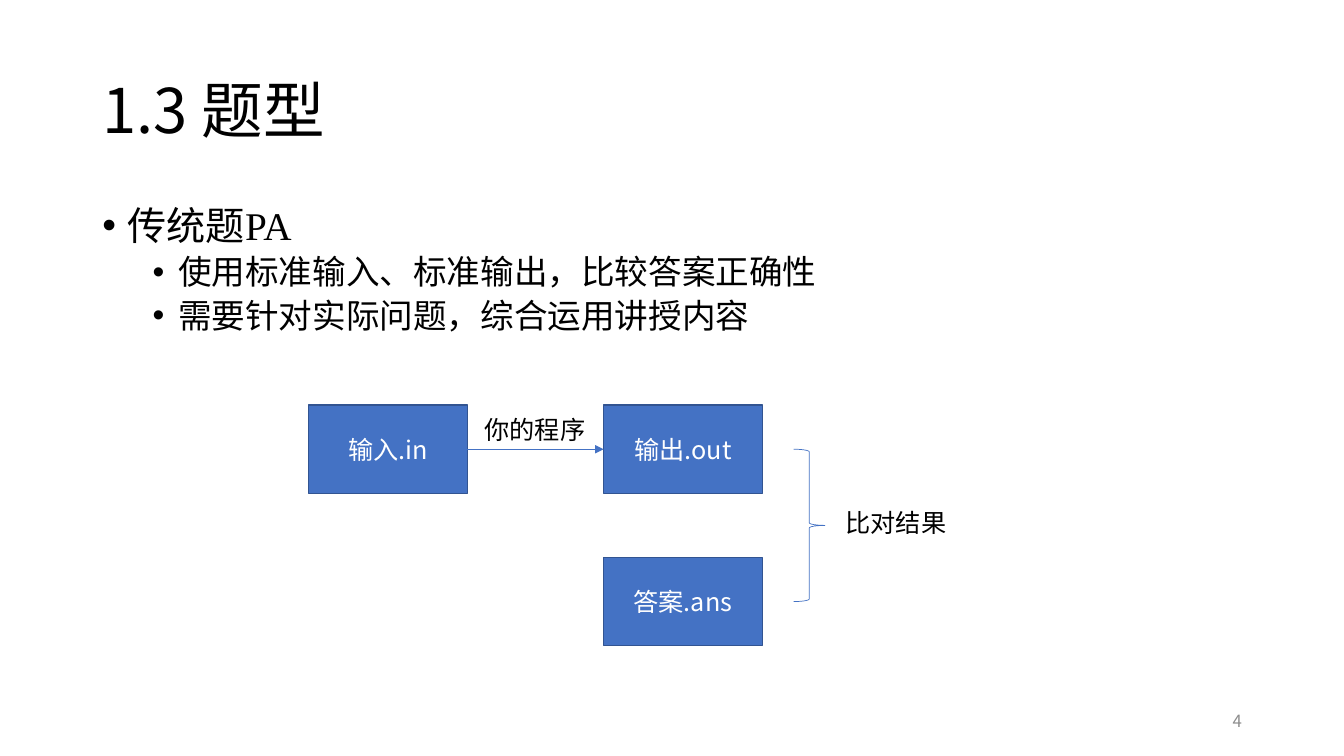
from dataclasses import dataclass

from lxml import etree
from pptx import Presentation
from pptx.dml.color import RGBColor
from pptx.enum.shapes import MSO_CONNECTOR, MSO_SHAPE
from pptx.enum.text import MSO_ANCHOR, PP_ALIGN
from pptx.oxml.ns import qn
from pptx.shapes.autoshape import Shape
from pptx.slide import Slide
from pptx.text.text import TextFrame, _Paragraph
from pptx.util import Cm, Pt

RECTANGLE, BRACE = MSO_SHAPE.RECTANGLE, MSO_SHAPE.RIGHT_BRACE
STRAIGHT = MSO_CONNECTOR.STRAIGHT
TOP, MIDDLE = MSO_ANCHOR.TOP, MSO_ANCHOR.MIDDLE
LEFT, CENTER, RIGHT = PP_ALIGN.LEFT, PP_ALIGN.CENTER, PP_ALIGN.RIGHT
SIDE_LEFT, SIDE_RIGHT = 1, 3

SANS, SERIF = "Noto Sans CJK SC", "Times New Roman"
BLACK, WHITE, GRAY = "000000", "FFFFFF", "8C8C8C"
BLUE, DARK_BLUE = "4472C4", "325491"

# Grid of the flow diagram, in centimetres
BOX_WIDTH, BOX_HEIGHT = 4.0, 2.22
FLOW_LEFT, FLOW_TOP = 7.78, 10.21
COLUMN_PITCH, ROW_PITCH = 7.43, 3.84


@dataclass
class Label:
    text: str
    left: float
    top: float
    width: float
    height: float
    size: float = 18
    color: str = BLACK
    align: PP_ALIGN = LEFT
    anchor: MSO_ANCHOR = TOP
    wrap: bool = True
    line_spacing: float = 1.0


@dataclass
class FlowBox:
    text: str
    column: int
    row: int


@dataclass
class Bullet:
    text: str
    size: float
    level: int
    indent: float
    space_before: float


LABELS = [
    Label("1.3 题型", 2.33, 1.02, 29.21, 3.68, size=44, anchor=MIDDLE, line_spacing=0.9),
    Label("4", 23.93, 17.65, 7.62, 1.02, size=12, color=GRAY, align=RIGHT, anchor=MIDDLE),
    Label("比对结果", 21.06, 12.66, 3.3, 1.02, wrap=False),
    Label("你的程序", 11.96, 10.31, 3.3, 1.02, wrap=False),
]
BULLETS = [
    Bullet("传统题PA", 28, 0, 0.64, 0),
    Bullet("使用标准输入、标准输出，比较答案正确性", 24, 1, 1.91, 5),
    Bullet("需要针对实际问题，综合运用讲授内容", 24, 1, 1.91, 5),
]
FLOW_BOXES = [FlowBox("输入.in", 0, 0), FlowBox("输出.out", 1, 0), FlowBox("答案.ans", 1, 1)]


def rgb(color: str) -> RGBColor:
    return RGBColor.from_string(color)


def set_attributes(target: object, values: dict) -> None:
    for name, value in values.items():
        setattr(target, name, value)


def add_text(paragraph: _Paragraph, text: str, size: float, color: str, font: str = SANS) -> None:
    run = paragraph.add_run()
    run.text = text
    set_attributes(run.font, {"name": font, "size": Pt(size)})
    run.font.color.rgb = rgb(color)
    east_asian = etree.SubElement(run.font._element, qn("a:ea"))
    east_asian.set("typeface", SANS)


def add_text_frame(slide: Slide, left: float, top: float, width: float, height: float) -> TextFrame:
    return slide.shapes.add_textbox(Cm(left), Cm(top), Cm(width), Cm(height)).text_frame


def add_label(slide: Slide, label: Label) -> None:
    frame = add_text_frame(slide, label.left, label.top, label.width, label.height)
    set_attributes(frame, {"word_wrap": label.wrap, "vertical_anchor": label.anchor})
    paragraph = frame.paragraphs[0]
    set_attributes(paragraph, {"alignment": label.align, "line_spacing": label.line_spacing})
    add_text(paragraph, label.text, label.size, label.color)


def add_bullets(slide: Slide, bullets: list[Bullet]) -> None:
    frame = add_text_frame(slide, 2.33, 5.08, 29.21, 12.09)
    frame.word_wrap = True
    for index, bullet in enumerate(bullets):
        paragraph = frame.add_paragraph() if index else frame.paragraphs[0]
        properties = paragraph._p.get_or_add_pPr()
        properties.set("marL", str(Cm(bullet.indent)))
        properties.set("indent", str(-Cm(0.64)))
        etree.SubElement(properties, qn("a:buFont")).set("typeface", "Arial")
        etree.SubElement(properties, qn("a:buChar")).set("char", "•")
        set_attributes(paragraph, {
            "level": bullet.level,
            "line_spacing": 0.9,
            "space_before": Pt(bullet.space_before),
        })
        add_text(paragraph, bullet.text, bullet.size, BLACK, SERIF)


def add_flow_box(slide: Slide, box: FlowBox) -> Shape:
    shape = slide.shapes.add_shape(
        RECTANGLE,
        Cm(FLOW_LEFT + box.column * COLUMN_PITCH), Cm(FLOW_TOP + box.row * ROW_PITCH),
        Cm(BOX_WIDTH), Cm(BOX_HEIGHT),
    )
    shape.shadow.inherit = False
    shape.fill.solid()
    shape.fill.fore_color.rgb = rgb(BLUE)
    shape.line.color.rgb = rgb(DARK_BLUE)
    shape.line.width = Pt(1)
    shape.text_frame.vertical_anchor = MIDDLE
    paragraph = shape.text_frame.paragraphs[0]
    paragraph.alignment = CENTER
    add_text(paragraph, box.text, 18, WHITE)
    return shape


def add_arrow(slide: Slide, source: Shape, target: Shape) -> None:
    arrow = slide.shapes.add_connector(STRAIGHT, 0, 0, 0, 0)
    arrow.begin_connect(source, SIDE_RIGHT)
    arrow.end_connect(target, SIDE_LEFT)
    arrow.line.color.rgb = rgb(BLUE)
    arrow.line.width = Pt(0.5)
    etree.SubElement(arrow.line._get_or_add_ln(), qn("a:tailEnd")).set("type", "triangle")
    etree.SubElement(arrow._element.spPr, qn("a:effectLst"))


def add_brace(slide: Slide) -> None:
    brace = slide.shapes.add_shape(
        BRACE, Cm(20), Cm(FLOW_TOP + BOX_HEIGHT / 2), Cm(0.79), Cm(ROW_PITCH))
    brace.shadow.inherit = False
    brace.fill.background()
    brace.line.color.rgb = rgb(BLUE)
    brace.line.width = Pt(0.5)


def main() -> None:
    presentation = Presentation()
    set_attributes(presentation, {"slide_width": Cm(33.87), "slide_height": Cm(19.05)})
    slide = presentation.slides.add_slide(presentation.slide_layouts[6])

    # Bulleted text
    add_bullets(slide, BULLETS)

    # Flow from input to output, compared with the answer
    input_box, output_box, _ = [add_flow_box(slide, box) for box in FLOW_BOXES]
    add_arrow(slide, input_box, output_box)
    add_brace(slide)

    # Title, slide number and diagram labels
    for label in LABELS:
        add_label(slide, label)

    presentation.save("out.pptx")


if __name__ == "__main__":
    main()
